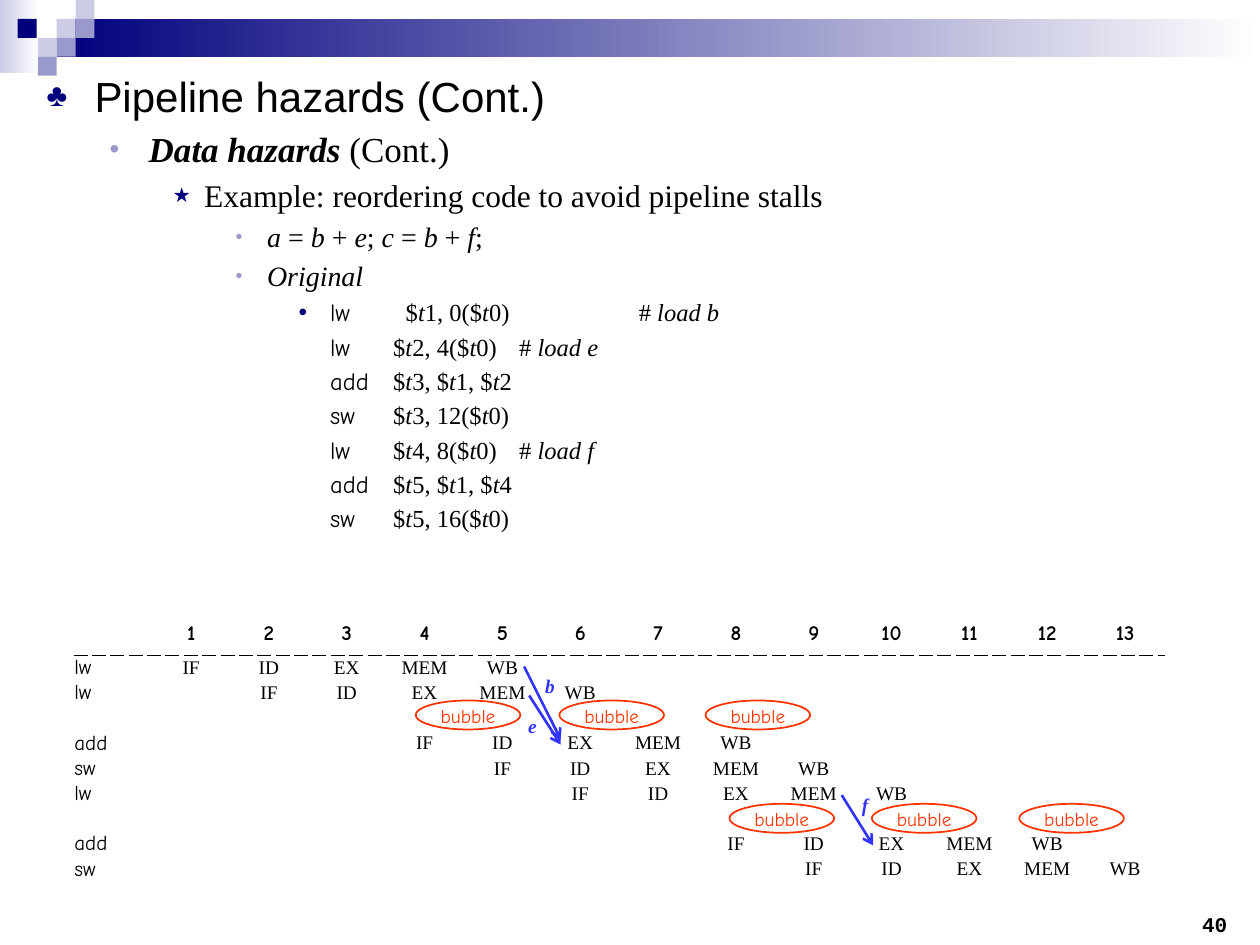
from lxml import etree
from pptx import Presentation
from pptx.dml import color
from pptx.enum import shapes, text
from pptx.oxml import ns
from pptx.util import Inches, Pt

SERIF, COMIC = "Times New Roman", "Comic Neue"
NAVY, LILAC, PALE = "00007D", "9999CC", "CCCCE6"
BLUE, RED, BLACK = "3333FF", "FF3300", "000000"
rgb = color.RGBColor.from_string


def add_run(paragraph, words, size, font, hue=BLACK, bold=False, italic=False):
    run = paragraph.add_run()
    run.text = words
    run.font.size, run.font.name = Pt(size), font
    run.font.bold, run.font.italic = bold, italic
    run.font.color.rgb = rgb(hue)


def add_xml(parent, tag, **attributes):
    return etree.SubElement(parent, ns.qn(tag), attributes)


prs = Presentation()
prs.slide_width, prs.slide_height = Inches(10), Inches(7.5)
slide = prs.slides.add_slide(prs.slide_layouts[1])
title = slide.shapes.title
title.element.getparent().remove(title.element)

# Header band and mosaic: left, top, width, height, colours
mosaic = [
    (0, 0, 0.31, 0.58, (PALE, "FFFFFF")),
    (0.45, 0.15, 9.55, 0.3, (NAVY, "FFFFFF")),
]
for left, top, hue in [(0.45, 0.15, PALE), (0.6, 0, PALE), (0.6, 0.15, LILAC),
                       (0.3, 0.3, PALE), (0.14, 0.15, NAVY),
                       (0.45, 0.3, LILAC), (0.3, 0.45, LILAC)]:
    mosaic.append((left, top, 0.15, 0.15, (hue,)))
for left, top, width, height, hues in mosaic:
    tile = slide.shapes.add_shape(shapes.MSO_SHAPE.RECTANGLE, Inches(left),
                                  Inches(top), Inches(width), Inches(height))
    tile.shadow.inherit = False
    tile.line.fill.background()
    if len(hues) == 2:
        tile.fill.gradient()
        tile.fill.gradient_angle = 0
        for stop, hue in zip(tile.fill.gradient_stops, hues):
            stop.color.rgb = rgb(hue)
    else:
        tile.fill.solid()
        tile.fill.fore_color.rgb = rgb(hues[0])

# Outline: text indent, hanging, bullet, bullet colour, bullet size, font size, font
levels = [
    (0.38, 0.38, "♣", NAVY, 75, 24, "Arial"),
    (0.81, 0.31, "•", LILAC, 80, 20, SERIF),
    (1.25, 0.25, "★", NAVY, 65, 18, SERIF),
    (1.75, 0.25, "•", LILAC, 70, 16, SERIF),
    (2.25, 0.25, "•", NAVY, 100, 14, SERIF),
]
# Level, instruction, words with italics between underscores
outline = [
    (0, "", "Pipeline hazards (Cont.)"),
    (1, "", "_Data hazards_ (Cont.)"),
    (2, "", "Example: reordering code to avoid pipeline stalls"),
    (3, "", "_a_ = _b_ + _e_; _c_ = _b_ + _f_;"),
    (3, "", "_Original_"),
    (4, "lw", "$_t_1, 0($_t_0)\t# _load b_"),
    (4, "lw", "$_t_2, 4($_t_0)\t# _load e_"),
    (4, "add", "$_t_3, $_t_1, $_t_2"),
    (4, "sw", "$_t_3, 12($_t_0)"),
    (4, "lw", "$_t_4, 8($_t_0)\t# _load f_"),
    (4, "add", "$_t_5, $_t_1, $_t_4"),
    (4, "sw", "$_t_5, 16($_t_0)"),
]
body = slide.placeholders[1]
body.left, body.top, body.width, body.height = map(Inches, (0.27, 0.46, 9.53, 3.92))
frame = body.text_frame
frame.auto_size = text.MSO_AUTO_SIZE.NONE
frame.margin_top = Inches(0.1)
code_started = False
for row, (level, instruction, words) in enumerate(outline):
    indent, hanging, bullet, bullet_hue, bullet_size, size, font = levels[level]
    point = frame.add_paragraph() if row else frame.paragraphs[0]
    point.level = level
    props = point._p.get_or_add_pPr()
    props.set("marL", str(Inches(indent)))
    props.set("indent", str(-Inches(hanging)))
    if code_started:
        add_xml(props, "a:buNone")
        add_run(point, "\t", size, font)
    else:
        add_xml(add_xml(props, "a:buClr"), "a:srgbClr", val=bullet_hue)
        add_xml(props, "a:buSzPct", val=str(bullet_size * 1000))
        add_xml(props, "a:buChar", char=bullet)
        if instruction:
            tabs = add_xml(props, "a:tabLst")
            for stop in (2.85, 4.7):
                add_xml(tabs, "a:tab", pos=str(Inches(stop)), algn="l")
    if row == 0:
        point.space_before = Pt(0)
    if instruction:
        code_started = True
        add_run(point, instruction + "\t", size, COMIC)
    for part, piece in enumerate(words.split("_")):
        if piece:
            italic = part % 2 == 1
            add_run(point, piece, size, font, bold=italic and level == 1, italic=italic)

# Pipeline chart: instruction and the cycle of its first stage
stages = ["IF", "ID", "EX", "MEM", "WB"]
schedule = [("lw", 1), ("lw", 2), None, ("add", 4), ("sw", 5), ("lw", 6),
            None, ("add", 8), ("sw", 9)]
grid = [[""] + [str(cycle) for cycle in range(1, 14)]]
for entry in schedule:
    cells = [""] * 14
    if entry:
        cells[0], start = entry
        cells[start:start + 5] = stages
    grid.append(cells)

pipeline = slide.shapes.add_table(10, 14, Inches(0.59), Inches(4.93),
                                  Inches(8.65), Inches(2.07)).table
pipeline.first_row = pipeline.horz_banding = False
for column in pipeline.columns:
    column.width = Inches(8.65 / 14)
for r, cells in enumerate(grid):
    pipeline.rows[r].height = Inches(0.2 if r else 0.27)
    for c, words in enumerate(cells):
        cell = pipeline.cell(r, c)
        cell.margin_left = cell.margin_right = cell.margin_top = cell.margin_bottom = 0
        cell.vertical_anchor = text.MSO_ANCHOR.MIDDLE if r else text.MSO_ANCHOR.TOP
        if r < 2:
            edge = add_xml(cell._tc.get_or_add_tcPr(), "a:lnT" if r else "a:lnB",
                           w=str(Pt(0.75)))
            add_xml(add_xml(edge, "a:solidFill"), "a:srgbClr", val=BLACK)
            add_xml(edge, "a:prstDash", val="sysDash")
        cell.fill.background()
        entry = cell.text_frame.paragraphs[0]
        if c:
            entry.alignment = text.PP_ALIGN.CENTER
        if not words:
            add_xml(entry._p, "a:endParaRPr", sz="1100")
        elif r == 0 or c == 0:
            add_run(entry, words, 12, COMIC, bold=r == 0)
        else:
            add_run(entry, words, 11, SERIF)

# Forwarding arrows
for x1, y1, x2, y2 in [(4.2, 5.52, 4.45, 5.91), (4.16, 5.29, 4.45, 5.87),
                       (6.68, 6.31, 6.93, 6.71)]:
    arrow = slide.shapes.add_connector(shapes.MSO_CONNECTOR.STRAIGHT, Inches(x1),
                                       Inches(y1), Inches(x2), Inches(y2))
    arrow.line.color.rgb = rgb(BLUE)
    arrow.line.width = Pt(1.5)
    add_xml(arrow.line._get_or_add_ln(), "a:tailEnd", type="arrow")
    add_xml(arrow._element.spPr, "a:effectLst")

# Bubble outlines, and the labels: words, box, size, font, colour, bold, italic
labels = [("40", 9.29, 7.22, 0.7, 0.23, 12, "Courier New", BLACK, True, False)]
for name, left, top in [("b", 4.26, 5.35), ("e", 4.12, 5.67), ("f", 6.76, 6.3)]:
    labels.append((name, left, top, 0.21, 0.18, 11, SERIF, BLUE, True, True))
for top, lefts in [(5.56, (3.3, 4.44, 5.6)), (6.38, (5.79, 6.92, 8.09))]:
    for left in lefts:
        bubble = slide.shapes.add_shape(shapes.MSO_SHAPE.OVAL, Inches(left), Inches(top),
                                        Inches(0.83), Inches(0.23))
        bubble.shadow.inherit = False
        bubble.fill.background()
        bubble.line.color.rgb = rgb(RED)
        bubble.line.width = Pt(1)
        labels.append(("bubble", left + 0.12, top + 0.03, 0.59, 0.18, 11, COMIC, RED,
                       False, False))

for words, left, top, width, height, *style in labels:
    label = slide.shapes.add_textbox(Inches(left), Inches(top), Inches(width),
                                     Inches(height)).text_frame
    label.word_wrap = True
    label.margin_left = label.margin_right = label.margin_top = label.margin_bottom = 0
    label.vertical_anchor = text.MSO_ANCHOR.MIDDLE
    label.paragraphs[0].alignment = text.PP_ALIGN.CENTER
    add_run(label.paragraphs[0], words, *style)

prs.save("out.pptx")
